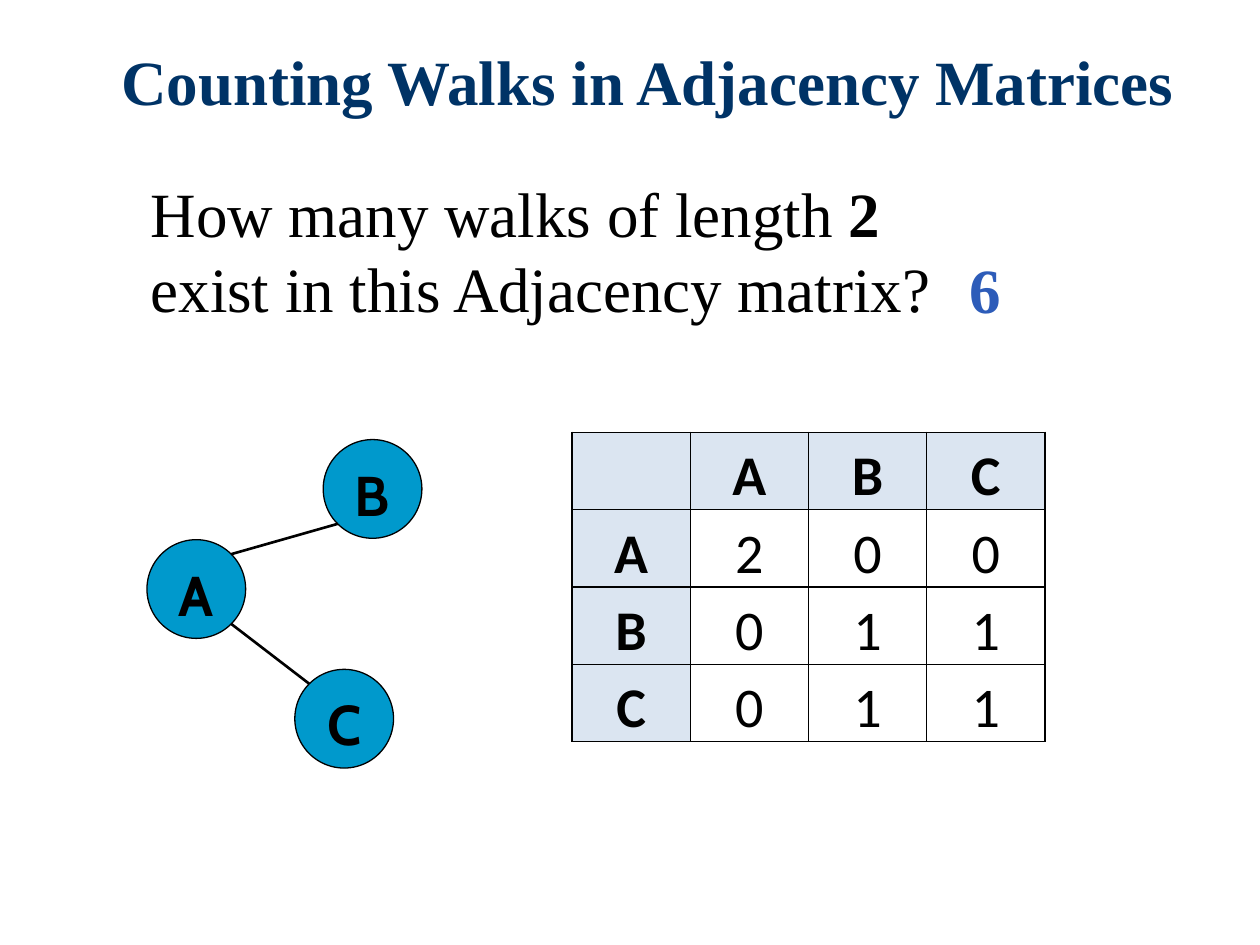
from math import sqrt

from lxml import etree
from pptx import Presentation
from pptx.dml.color import RGBColor
from pptx.enum.shapes import MSO_CONNECTOR, MSO_SHAPE
from pptx.enum.text import MSO_ANCHOR, PP_ALIGN
from pptx.oxml.ns import qn
from pptx.util import Pt

CENTER, LEFT = PP_ALIGN.CENTER, PP_ALIGN.LEFT
MIDDLE, TOP = MSO_ANCHOR.MIDDLE, MSO_ANCHOR.TOP

THEME = {
    "title": "003366", "ink": "000000", "answer": "2D5CB9",
    "node": "0099CC", "header": "DBE5F1",
    "serif": "Times New Roman", "node_font": "Cabin", "table_font": "Calibri",
    "large": 36, "medium": 32,
}

TITLE = [("Counting Walks in Adjacency Matrices", True)]
QUESTION = [("How many walks of length ", False), ("2\v", True),
            ("exist in this Adjacency matrix?", False)]
ANSWER = [("6", True)]

MATRIX = [["", "A", "B", "C"],
          ["A", "2", "0", "0"],
          ["B", "0", "1", "1"],
          ["C", "0", "1", "1"]]
MATRIX_LEFT, MATRIX_TOP, CELL_WIDTH, CELL_HEIGHT = 326.9, 247, 67.55, 44.15

NODE_SIZE = 56.4
NODES = {"A": (84, 308.4), "C": (168.5, 382.5), "B": (184.7, 251.2)}
EDGES = [("A", (1, -1), "B", (-1, 1)), ("C", (-1, -1), "A", (1, 1))]


def color(name):
    return RGBColor.from_string(THEME[name])


def write(para, spans, font="serif", size="large", ink="ink", align=LEFT):
    """Fill a paragraph with (text, bold) spans; a vertical tab breaks the line."""
    para.alignment = align
    for text, bold in spans:
        for index, piece in enumerate(text.split("\v")):
            if index:
                para.add_line_break()
            if piece:
                span = para.add_run()
                span.text = piece
                span.font.name = THEME[font]
                span.font.size = Pt(THEME[size])
                span.font.bold = bold
                span.font.color.rgb = color(ink)


def add_text(page, spans, left, top, width, height, anchor=TOP, **style):
    box = page.shapes.add_textbox(Pt(left), Pt(top), Pt(width), Pt(height))
    box.text_frame.word_wrap = True
    box.text_frame.vertical_anchor = anchor
    write(box.text_frame.paragraphs[0], spans, **style)


def add_borders(cell):
    properties = cell._tc.get_or_add_tcPr()
    for side in ("a:lnL", "a:lnR", "a:lnT", "a:lnB"):
        line = etree.SubElement(properties, qn(side), w=str(Pt(1)))
        fill = etree.SubElement(line, qn("a:solidFill"))
        etree.SubElement(fill, qn("a:srgbClr"), val=THEME["ink"])


def add_matrix(page):
    count = len(MATRIX)
    table = page.shapes.add_table(
        count, count, Pt(MATRIX_LEFT), Pt(MATRIX_TOP),
        Pt(CELL_WIDTH * count), Pt(CELL_HEIGHT * count)).table
    for index in range(count):
        table.columns[index].width = Pt(CELL_WIDTH)
        table.rows[index].height = Pt(CELL_HEIGHT)
    for row, values in enumerate(MATRIX):
        for column, value in enumerate(values):
            cell = table.cell(row, column)
            header = row == 0 or column == 0
            cell.margin_left = cell.margin_right = Pt(5)
            cell.margin_top = cell.margin_bottom = 0
            add_borders(cell)
            if header:
                cell.fill.solid()
                cell.fill.fore_color.rgb = color("header")
            else:
                cell.fill.background()
            para = cell.text_frame.paragraphs[0]
            para.line_spacing = 1.15
            write(para, [(value, header)], font="table_font", size="medium",
                  align=CENTER)


def add_node(page, name, left, top):
    node = page.shapes.add_shape(MSO_SHAPE.OVAL, Pt(left), Pt(top),
                                 Pt(NODE_SIZE), Pt(NODE_SIZE))
    node.shadow.inherit = False
    node.fill.solid()
    node.fill.fore_color.rgb = color("node")
    node.line.color.rgb = color("ink")
    node.line.width = Pt(0.75)
    node.text_frame.vertical_anchor = TOP
    para = node.text_frame.paragraphs[0]
    para.space_after = Pt(18)
    write(para, [(name, True)], font="node_font", size="medium", align=CENTER)


def rim_point(name, direction):
    """Point on a node's rim in a diagonal direction from its centre."""
    radius = NODE_SIZE / 2
    return [Pt(start + radius + sign * radius / sqrt(2))
            for start, sign in zip(NODES[name], direction)]


def add_edge(page, start, start_direction, end, end_direction):
    edge = page.shapes.add_connector(
        MSO_CONNECTOR.STRAIGHT, *rim_point(start, start_direction),
        *rim_point(end, end_direction))
    edge.line.color.rgb = color("ink")
    edge.line.width = Pt(1.5)
    etree.SubElement(edge._element.spPr, qn("a:effectLst"))


def main():
    deck = Presentation()
    deck.slide_width, deck.slide_height = Pt(720), Pt(540)
    page = deck.slides.add_slide(deck.slide_layouts[6])
    add_text(page, TITLE, 36, 0.7, 668, 90, anchor=MIDDLE, ink="title",
             align=CENTER)
    add_text(page, QUESTION, 79, 96, 582, 94)
    add_matrix(page)
    for name, (left, top) in NODES.items():
        add_node(page, name, left, top)
    for edge in EDGES:
        add_edge(page, *edge)
    add_text(page, ANSWER, 547, 139.5, 38, 51, ink="answer")
    deck.save("out.pptx")


if __name__ == "__main__":
    main()
